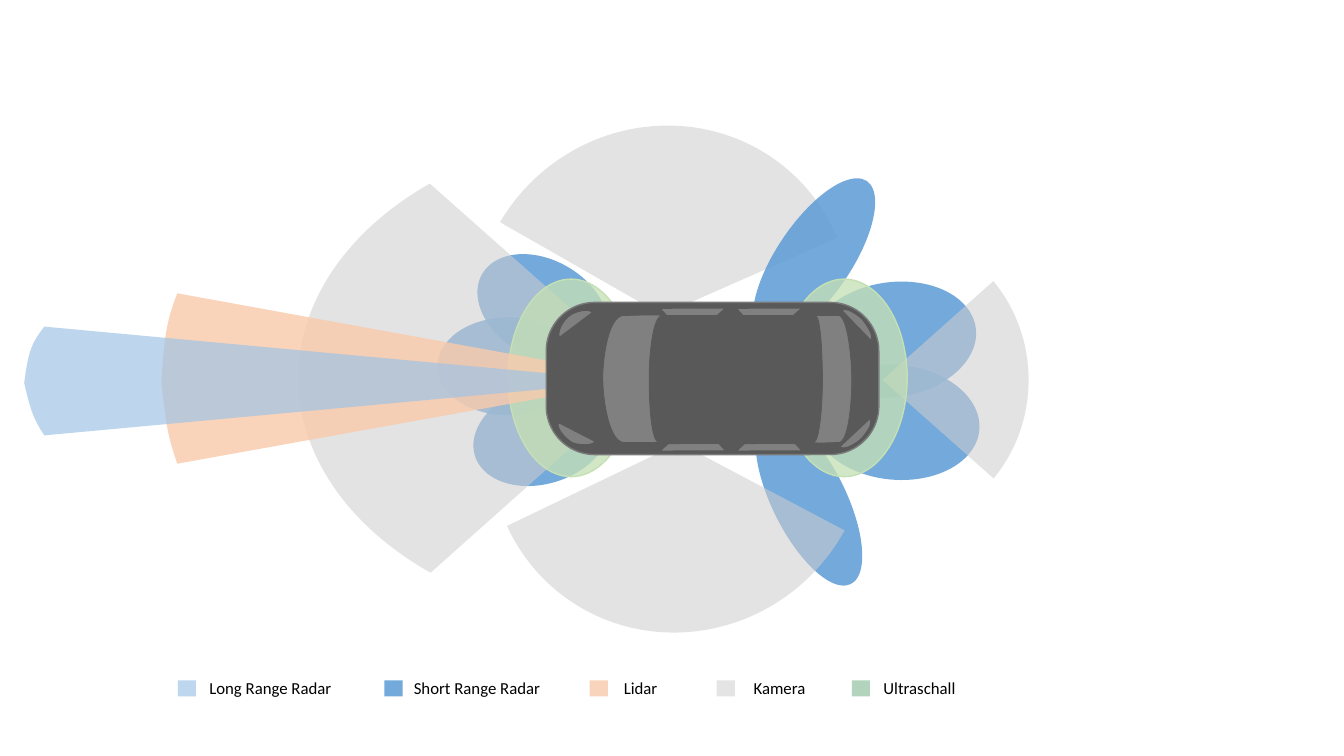
from dataclasses import dataclass
from typing import NamedTuple

from lxml import etree
from pptx import Presentation
from pptx.dml.color import RGBColor
from pptx.enum.shapes import MSO_SHAPE
from pptx.enum.text import MSO_AUTO_SIZE
from pptx.oxml.ns import qn
from pptx.shapes.autoshape import Shape
from pptx.util import Pt

PIE = MSO_SHAPE.PIE
OVAL = MSO_SHAPE.OVAL
RECT = MSO_SHAPE.RECTANGLE
ROUND = MSO_SHAPE.ROUNDED_RECTANGLE
STRIPE = MSO_SHAPE.DIAGONAL_STRIPE
GROW = MSO_AUTO_SIZE.SHAPE_TO_FIT_TEXT

COLORS = {
    "camera": "D0CECE", "short": "5B9BD5", "sonic": "C5E0B4",
    "lidar": "F8CBAD", "long": "9DC3E6", "body": "595959",
    "edge": "7A7A7A", "glass": "808080", "text": "000000",
    "key long": "BDD7EE", "key short": "73AADB", "key lidar": "F9D4BC",
    "key camera": "E5E4E4", "key sonic": "B2D4BD",
}
FONT = "Calibri"


class Style(NamedTuple):
    fill: str
    alpha: int = 100
    line: str = ""
    width: float = 0


CAMERA = Style("camera", 56)
SHORT = Style("short", 85)
SONIC = Style("sonic", 77, "sonic", 1)
LIDAR = Style("lidar", 82)
LONG = Style("long", 67)
BODY = Style("body", 100, "edge", 1)
GLASS = Style("glass", 100, "body", 0.5)
LAMP = Style("glass", 100, "body", 1)


@dataclass
class Part:
    kind: MSO_SHAPE
    left: float
    top: float
    width: float
    height: float
    style: Style
    turn: float = 0
    adjust: tuple[float, ...] = ()


@dataclass
class Trace:
    start: tuple[float, float]
    steps: list[tuple[float, ...]]
    style: Style


class Key(NamedTuple):
    label: str
    color: str
    left: float
    text: float
    width: float


SIDE = (99.22, 175.09)
AHEAD = (136.97, 186.93)

FIELDS = [
    Part(PIE, 339.8, 87.8, 266.4, 274.3, CAMERA, 44.4, SIDE),
    Part(OVAL, 337.7, 185.8, 100.1, 69.8, SHORT, 29.8),
    Part(OVAL, 312.5, 226.8, 100.1, 69.8, SHORT),
    Part(OVAL, 337, 275.8, 100.1, 69.8, SHORT, 342.7),
    Part(PIE, 285.8, 19.4, 355.7, 501.1, CAMERA, 270, AHEAD),
    Part(OVAL, 362.9, 199.4, 90, 141.1, SONIC),
    Part(OVAL, 510.5, 330.5, 134.6, 52.7, SHORT, 243.6),
    Part(OVAL, 514.1, 158.4, 134.6, 53.3, SHORT, 124.1),
    Part(OVAL, 579.6, 260.6, 120.2, 82.1, SHORT, 5.4),
    Part(OVAL, 577.4, 201.6, 120.2, 82.1, SHORT, 351.8),
    Part(PIE, 522, 167, 216.7, 208.8, CAMERA, 90, AHEAD),
    Part(OVAL, 558, 199.4, 90, 141.1, SONIC),
    Part(PIE, 352.1, 179.3, 266.4, 274.3, CAMERA, 222.5, SIDE),
    Trace((126.7, 209.5), [(463, 270.7), (126.7, 331.2),
          (120.2, 312.5, 118.8, 305.3, 115.2, 272.9),
          (117.4, 240.5, 118.8, 229.7, 126.7, 209.5)], LIDAR),
    Trace((31.7, 233.3), [(451.4, 272.2), (31.7, 311),
          (23.8, 298.8, 22.3, 294.5, 17.3, 273.6),
          (20.2, 252.7, 21.6, 246.2, 31.7, 233.3)], LONG),
]

CAR = [
    Part(ROUND, 390.2, 216, 237.6, 108.7, BODY, 0, (0.319,)),
    Trace((445.7, 316.1), [
        (434.9, 315.4, 430.6, 285.1, 430.6, 270),
        (430.6, 254.9, 434.9, 225.4, 445.7, 225.4),
        (450, 225.4, 470.2, 224.6, 473, 225.4),
        (466.6, 225.4, 463.7, 251.3, 463.7, 270),
        (463.7, 289.4, 465.1, 316.1, 470.9, 316.1),
        (468.7, 316.1, 450.7, 316.1, 445.7, 316.1)], GLASS),
    Trace((599, 225.4), [
        (605.5, 226.1, 608.4, 256.3, 608.4, 271.4),
        (608.4, 286.6, 606.2, 316.1, 599, 316.1),
        (596.2, 316.1, 583.2, 316.8, 581, 316.1),
        (585.4, 316.1, 587.5, 290.2, 587.5, 271.4),
        (587.5, 252, 586.1, 225.4, 582.5, 225.4),
        (583.9, 225.4, 595.4, 225.4, 599, 225.4)], GLASS),
    Trace((399.6, 241.2), [
        (397.4, 236.9, 402.5, 228.2, 406.8, 225.4),
        (410.4, 222.5, 420.5, 219.6, 423.4, 223.2),
        (399.6, 241.2)], LAMP),
    Trace((425.5, 315.4), [
        (422.6, 319, 412.6, 318.2, 408.2, 316.1),
        (403.9, 313.2, 396.7, 306, 398.9, 301.7),
        (425.5, 315.4)], LAMP),
    Trace((621.4, 298.8), [
        (624.2, 303.1, 618.5, 309.6, 615.6, 313.2),
        (612, 316.8, 602.6, 322.6, 599.8, 319),
        (621.4, 298.8)], LAMP),
] + [
    Part(STRIPE, left, top, 31.7, 35.3, LAMP, turn, (0.762,))
    for top, turn in ((202.3, 227.8), (304.6, 47.8))
    for left in (479, 533.5)
] + [
    Trace((601.2, 221.8), [
        (604.8, 218.9, 612, 224.6, 615.6, 227.5),
        (618.5, 231.1, 625, 239.8, 622.1, 243.4),
        (601.2, 221.8)], LAMP),
]

KEYS = [
    Key("Long Range Radar", "key long", 127, 142.4, 102.2),
    Key("Short Range Radar", "key short", 274.6, 288.5, 105.8),
    Key("Lidar", "key lidar", 421.2, 438.5, 38.9),
    Key("Kamera", "key camera", 511.9, 531.2, 51.8),
    Key("Ultraschall", "key sonic", 608.4, 624, 66.2),
]


def paint(shape: Shape, style: Style) -> None:
    shape.shadow.inherit = False
    shape.fill.solid()
    shape.fill.fore_color.rgb = RGBColor.from_string(COLORS[style.fill])
    if style.alpha < 100:
        color = shape._element.spPr.find(qn("a:solidFill"))[0]
        etree.SubElement(color, qn("a:alpha"), val=str(style.alpha * 1000))
    if style.line:
        shape.line.color.rgb = RGBColor.from_string(COLORS[style.line])
        shape.line.width = Pt(style.width)
    else:
        shape.line.fill.background()


def draw_part(part: Part) -> None:
    shape = shapes.add_shape(part.kind, Pt(part.left), Pt(part.top),
                             Pt(part.width), Pt(part.height))
    shape.rotation = part.turn
    for index, value in enumerate(part.adjust):
        shape.adjustments[index] = value
    paint(shape, part.style)


def draw_trace(trace: Trace) -> None:
    pen = shapes.build_freeform(*map(Pt, trace.start))
    spots = [(Pt(x), Pt(y)) for step in trace.steps
             for x, y in zip(step[::2], step[1::2])]
    pen.add_line_segments(spots, close=True)
    shape = pen.convert_to_shape()
    lines = iter(list(shape._element.iter(qn("a:lnTo"))))
    for step in trace.steps:
        line = next(lines)
        if len(step) == 6:
            line.addprevious(curve := etree.Element(qn("a:cubicBezTo")))
            for knot in (line, next(lines), next(lines)):
                curve.append(knot[0])
                knot.getparent().remove(knot)
    paint(shape, trace.style)


def draw_key(key: Key) -> None:
    draw_part(Part(RECT, key.left, 486, 13, 11.5, Style(key.color)))
    box = shapes.add_textbox(Pt(key.text), Pt(480.6), Pt(key.width), Pt(21.8))
    frame = box.text_frame
    frame.word_wrap = False
    frame.auto_size = GROW
    run = frame.paragraphs[0].add_run()
    run.text = key.label
    run.font.name = FONT
    run.font.size = Pt(12)
    run.font.color.rgb = RGBColor.from_string(COLORS["text"])


deck = Presentation()
deck.slide_width, deck.slide_height = Pt(960), Pt(540)
shapes = deck.slides.add_slide(deck.slide_layouts[6]).shapes
for item in FIELDS + CAR:
    if isinstance(item, Part):
        draw_part(item)
    else:
        draw_trace(item)
for key in KEYS:
    draw_key(key)
deck.save("out.pptx")
